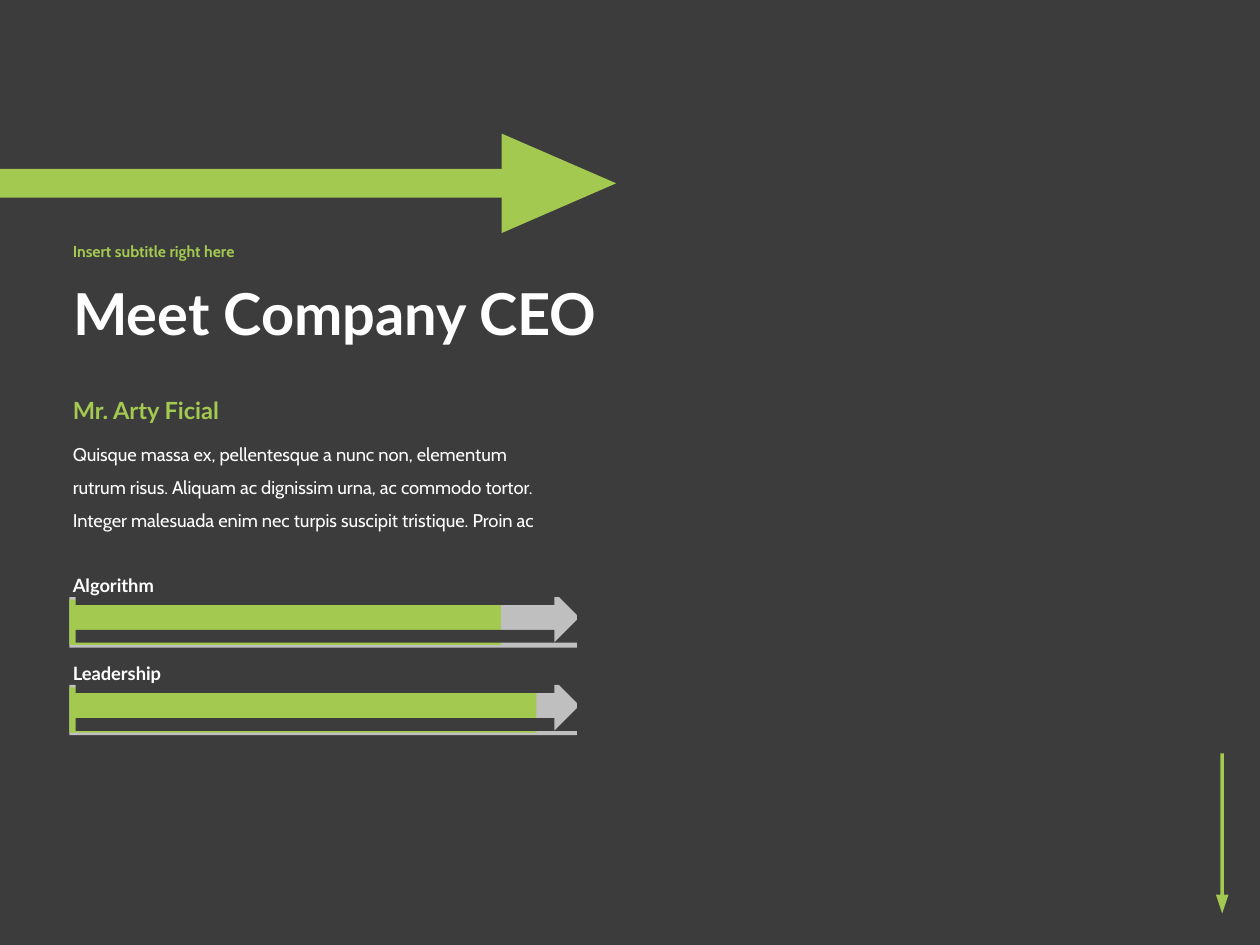
from dataclasses import dataclass

from pptx import Presentation
from pptx.dml.color import RGBColor
from pptx.enum.shapes import MSO_SHAPE
from pptx.enum.text import MSO_ANCHOR, MSO_AUTO_SIZE, PP_ALIGN
from pptx.util import Inches, Pt

RECTANGLE = MSO_SHAPE.RECTANGLE
TRIANGLE = MSO_SHAPE.ISOSCELES_TRIANGLE
TITLE_ONLY = 5
CELL = Inches(0.1)  # the page is a grid of 100 columns by 75 rows
COLUMNS, ROWS = 100, 75


@dataclass(frozen=True)
class Theme:
    ground: RGBColor = RGBColor.from_string("3C3C3C")
    accent: RGBColor = RGBColor.from_string("A3C951")
    track: RGBColor = RGBColor.from_string("BFBFBF")
    text: RGBColor = RGBColor.from_string("FFFFFF")
    heading_font: str = "Lato"
    body_font: str = "Cabin"
    title_size: float = 33
    name_size: float = 13.5
    body_size: float = 10.5
    subtitle_size: float = 9


THEME = Theme()


@dataclass(frozen=True)
class Box:
    """A region in grid columns and rows."""
    left: float
    top: float
    width: float
    height: float

    def lengths(self):
        return [round(n * CELL) for n in (self.left, self.top, self.width, self.height)]


def paint(shape, color):
    shape.shadow.inherit = False
    shape.fill.solid()
    shape.fill.fore_color.rgb = color
    shape.line.fill.background()


def add_block(page, kind, box, color, rotation=0):
    shape = page.shapes.add_shape(kind, *box.lengths())
    shape.rotation = rotation
    paint(shape, color)


def write(shape, text, font, size, color, bold=True, spacing=1.0, anchor=MSO_ANCHOR.TOP,
          fit=MSO_AUTO_SIZE.SHAPE_TO_FIT_TEXT):
    frame = shape.text_frame
    frame.word_wrap = True
    frame.auto_size = fit
    frame.vertical_anchor = anchor
    para = frame.paragraphs[0]
    para.text = text
    para.alignment = PP_ALIGN.LEFT
    para.line_spacing = spacing
    para.font.name = font
    para.font.size = Pt(size)
    para.font.bold = bold
    para.font.color.rgb = color


def add_text(page, box, *args, **options):
    write(page.shapes.add_textbox(*box.lengths()), *args, **options)


def add_corner_arrow(page, box):
    """Thin arrow pointing down, its head at the foot of the box."""
    head, stem = 1.5, 0.3
    stem_left = box.left + (box.width - stem) / 2
    add_block(page, RECTANGLE, Box(stem_left, box.top, stem, box.height - head + 0.2),
              THEME.accent)
    add_block(page, TRIANGLE,
              Box(box.left, box.top + box.height - head, box.width, head),
              THEME.accent, 180)


def add_banner_arrow(page, box):
    """Broad arrow pointing right, entering from the left edge."""
    head, stem = 9.1, 2.3
    middle = box.top + box.height / 2
    add_block(page, RECTANGLE,
              Box(box.left, middle - stem / 2, box.width - head + 0.1, stem), THEME.accent)
    # The head is turned a quarter, so its width and height change places
    head_left = box.left + box.width - (head + box.height) / 2
    add_block(page, TRIANGLE, Box(head_left, middle - head / 2, box.height, head),
              THEME.accent, 90)


def add_heading(page, box):
    title = page.shapes.title
    title.left, title.top, title.width, title.height = box.lengths()
    options = {"spacing": 0.9, "anchor": MSO_ANCHOR.MIDDLE, "fit": MSO_AUTO_SIZE.NONE}
    write(title, "Meet Company CEO", THEME.heading_font, THEME.title_size,
          THEME.text, **options)
    add_text(page, Box(box.left, box.top - 1.9, box.width, 3.8), "Insert subtitle right here",
             THEME.body_font, THEME.subtitle_size, THEME.accent, **options)


def add_profile(page, box):
    name_height = 2.9
    add_text(page, Box(box.left, box.top, box.width, 3.3), "Mr. Arty Ficial",
             THEME.heading_font, THEME.name_size, THEME.accent)
    add_text(page,
             Box(box.left, box.top + name_height, box.width, box.height - name_height),
             "Quisque massa ex, pellentesque a nunc non, elementum rutrum risus. "
             "Aliquam ac dignissim urna, ac commodo tortor. Integer malesuada enim "
             "nec turpis suscipit tristique. Proin ac",
             THEME.body_font, THEME.body_size, THEME.text, bold=False, spacing=1.5)


def add_arrow_mask(page, box):
    """Cover the box in the ground colour, leaving an arrow open."""
    right, bottom = box.left + box.width, box.top + box.height
    neck = right - box.height / 2
    quarter = box.height / 4
    tip, stem_foot = (right, box.top + box.height / 2), bottom - quarter
    below = [(neck, box.top), (right, box.top), (right, bottom), (box.left, bottom),
             (box.left, stem_foot), (neck, stem_foot), (neck, bottom), tip]
    above = [(box.left, box.top), (neck, box.top), (neck, box.top + quarter),
             (box.left, box.top + quarter)]
    builder = page.shapes.build_freeform(*below[0], scale=CELL)
    builder.add_line_segments(below[1:], close=True)
    builder.move_to(*above[0])
    builder.add_line_segments(above[1:], close=True)
    paint(builder.convert_to_shape(), THEME.ground)


def add_skill(page, box, label, share):
    """Label above an arrow-shaped gauge filled to the given share."""
    bar = Box(box.left + 0.7, box.top + 2.3, box.width - 0.7, 4)
    add_block(page, RECTANGLE, bar, THEME.track)
    add_block(page, RECTANGLE,
              Box(bar.left, bar.top + 0.2, bar.width * share, bar.height - 0.4),
              THEME.accent)
    add_arrow_mask(page, bar)
    add_text(page, Box(box.left, box.top, 12.8, 2.8), label,
             THEME.heading_font, THEME.body_size, THEME.text)


def add_skills(page, box, skills):
    pitch = box.height / len(skills)
    for row, (label, share) in enumerate(skills):
        add_skill(page, Box(box.left, box.top + row * pitch, box.width, pitch), label, share)


def build_profile_page(deck):
    page = deck.slides.add_slide(deck.slide_layouts[TITLE_ONLY])
    page.background.fill.solid()
    page.background.fill.fore_color.rgb = THEME.ground
    margin = 4.8
    add_corner_arrow(page, Box(96.5, 59.8, 1, 12.7))
    add_heading(page, Box(margin, 20, 56.3, 10.3))
    add_profile(page, Box(margin, 30.9, 40, 11.6))
    add_banner_arrow(page, Box(-3.3, 10.6, 52.2, 7.9))
    add_skills(page, Box(margin, 45.1, 41, 13.9),
               [("Algorithm", 0.85), ("Leadership", 0.92)])


def main():
    deck = Presentation()
    deck.slide_width = COLUMNS * CELL
    deck.slide_height = ROWS * CELL
    build_profile_page(deck)
    deck.save("out.pptx")


if __name__ == "__main__":
    main()
